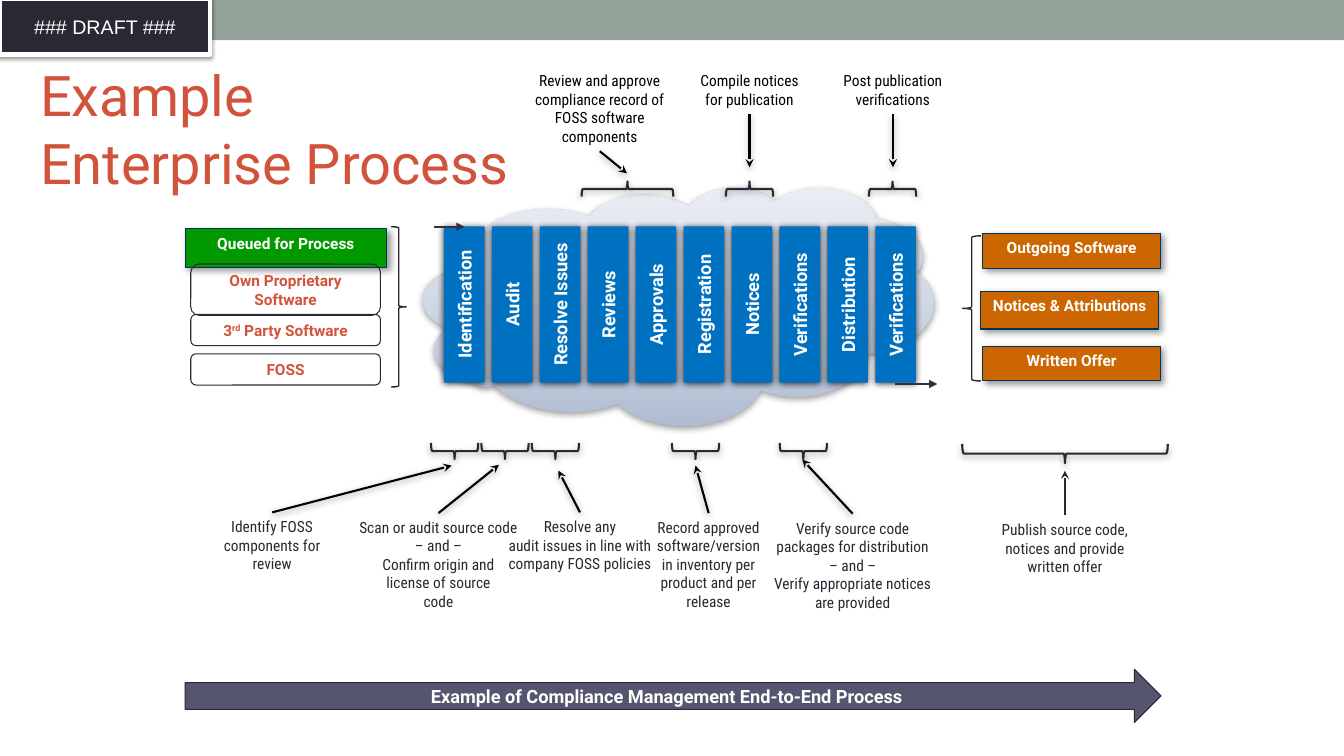
from copy import deepcopy
from dataclasses import dataclass

from lxml.etree import SubElement
from pptx import Presentation
from pptx.dml.color import RGBColor
from pptx.enum.shapes import MSO_CONNECTOR, MSO_SHAPE
from pptx.enum.text import MSO_ANCHOR, PP_ALIGN
from pptx.oxml.ns import qn
from pptx.util import Pt


@dataclass(frozen=True)
class Theme:
    band: str = "93A299"
    ink: str = "292934"
    black: str = "000000"
    white: str = "FFFFFF"
    accent: str = "D2533C"
    queue: str = "009900"
    output: str = "CC6600"
    card_edge: str = "003359"
    step: str = "0070C0"
    flow: str = "31313F"
    banner: str = "55556F"
    cloud: tuple = ((0, "B0BCD2"), (0.35, "C8D0DF"), (1, "EAEDF3"))
    body_font: str = "Roboto"
    note_font: str = "Roboto Condensed"
    tag_font: str = "Arial"
    title_size: int = 40
    tag_size: int = 14
    step_size: int = 13
    label_size: int = 11


THEME = Theme()
# Shadows: opacity in percent, blur, distance, direction in degrees
SOFT_SHADOW = (38, 5, 1.6, 90)
TAG_SHADOW = (38, 3.1, 1.6, 90)
CARD_SHADOW = (40, 5, 3, 45)
STEP_SHADOW = (75, 5, 1, 90)

STEPS = ["Identification", "Audit", "Resolve Issues", "Reviews", "Approvals",
         "Registration", "Notices", "Verifications", "Distribution", "Verifications"]

# Notes: paragraphs, centre x, top, width, height, arrow tip
UPPER_NOTES = [
    (["Review and approve", "compliance record of FOSS software components"],
     428.4, 47.5, 124, 60.5, (447.8, 123.8)),
    (["Compile notices", "for publication"], 535.4, 47.5, 124, 34, (535.4, 119.5)),
    (["Post publication", "verifications"], 637.8, 47.5, 124, 34, (637.8, 119.5)),
]
LOWER_NOTES = [
    (["Identify FOSS components for review"], 194.4, 366, 87, 47.5, (322.6, 332.6)),
    (["Scan or audit source code", "– and –", "Confirm origin and",
      "license of source", "code"], 313.2, 366.5, 131, 74, (356.4, 332)),
    (["Resolve any", "audit issues in line with", "company FOSS policies"],
     414.3, 366, 118, 47.5, (398.9, 336.2)),
    (["Record approved", "software/version", "in inventory per",
      "product and per", "release"], 506.2, 366.5, 91, 87, (496.8, 332.6)),
    (["Verify source code packages for distribution", "– and –",
      "Verify appropriate notices are provided"], 609.1, 367, 128, 87, (573.1, 328.3)),
]
PUBLISH_NOTE = (["Publish source code,", "notices and provide written offer"],
                760.7, 368, 127, 47.5, (760.7, 336.2))


def color(value):
    return RGBColor.from_string(value)


def set_shadow(shape, shadow=None):
    effects = SubElement(shape.element.spPr, qn("a:effectLst"))
    if shadow:
        opacity, blur, distance, direction = shadow
        outer = SubElement(effects, qn("a:outerShdw"), blurRad=str(Pt(blur)),
                           dist=str(Pt(distance)), dir=str(direction * 60000),
                           algn="ctr", rotWithShape="0")
        tone = SubElement(outer, qn("a:srgbClr"), val=THEME.black)
        SubElement(tone, qn("a:alpha"), val=str(opacity * 1000))


def write(shape, paragraphs, size, tone, font=THEME.body_font, bold=False, side=6.5,
          anchor=MSO_ANCHOR.MIDDLE, align=PP_ALIGN.CENTER, spacing=None):
    """Fill a shape with text; ^marks^ enclose a superscript."""
    frame = shape.text_frame
    frame.word_wrap = True
    frame.vertical_anchor = anchor
    frame.margin_left = frame.margin_right = Pt(side)
    frame.margin_top = frame.margin_bottom = Pt(3.6)
    for index, text in enumerate(paragraphs):
        para = frame.add_paragraph() if index else frame.paragraphs[0]
        para.alignment = align
        para.line_spacing = spacing
        para.font.name, para.font.size, para.font.bold = font, Pt(size), bold
        para.font.color.rgb = color(tone)
        for part_index, part in enumerate(text.split("^")):
            span = para.add_run()
            span.text = part
            if part_index % 2:
                span.font._element.set("baseline", "30000")


def add_shape(page, kind, left, top, width, height, fill=None, edge=None, weight=0.75,
              shadow=None):
    shape = page.shapes.add_shape(kind, Pt(left), Pt(top), Pt(width), Pt(height))
    if fill:
        shape.fill.solid()
        shape.fill.fore_color.rgb = color(fill)
    else:
        shape.fill.background()
    if edge:
        shape.line.color.rgb = color(edge)
        shape.line.width = Pt(weight)
    else:
        shape.line.fill.background()
    set_shadow(shape, shadow)
    return shape


def add_card(page, text, left, top, width, height, fill):
    card = add_shape(page, MSO_SHAPE.RECTANGLE, left, top, width, height, fill,
                     THEME.card_edge, shadow=CARD_SHADOW)
    write(card, [text], THEME.label_size, THEME.white, bold=True, anchor=MSO_ANCHOR.TOP)


def add_source(page, text, top, height):
    source = add_shape(page, MSO_SHAPE.ROUNDED_RECTANGLE, 136.3, top, 135.5, height,
                       edge=THEME.ink)
    write(source, [text], THEME.label_size, THEME.accent, bold=True)


def add_step(page, text, center_x):
    length, depth, center_y = 111.6, 29, 217.5
    step = add_shape(page, MSO_SHAPE.RECTANGLE, center_x - length / 2, center_y - depth / 2,
                     length, depth, THEME.step, shadow=STEP_SHADOW)
    step.rotation = 270
    write(step, [text], THEME.step_size, THEME.white, bold=True)


def add_cloud(page):
    cloud = add_shape(page, MSO_SHAPE.CLOUD_CALLOUT, 302.4, 133.9, 364.3, 169.9,
                      THEME.white, shadow=SOFT_SHADOW)
    cloud.adjustments[0], cloud.adjustments[1] = -0.28, 0.19
    cloud.fill.gradient()
    cloud.fill.gradient_angle = 90
    stop_list = cloud.element.spPr.find(".//" + qn("a:gsLst"))
    stop_list.insert(1, deepcopy(stop_list[0]))
    for stop, (position, tone) in zip(cloud.fill.gradient_stops, THEME.cloud):
        stop.position = position
        stop.color.rgb = color(tone)


def add_brace(page, center_x, center_y, depth, length, rotation=0,
              kind=MSO_SHAPE.RIGHT_BRACE, weight=1.5, shadow=SOFT_SHADOW):
    brace = add_shape(page, kind, center_x - depth / 2, center_y - length / 2,
                      depth, length, edge=THEME.ink, weight=weight, shadow=shadow)
    brace.rotation = rotation


def add_arrow(page, start, end, tone, head, shadow=None):
    arrow = page.shapes.add_connector(MSO_CONNECTOR.STRAIGHT, *map(Pt, start + end))
    arrow.line.color.rgb = color(tone)
    arrow.line.width = Pt(1.5)
    SubElement(arrow.line._get_or_add_ln(), qn("a:tailEnd"), type=head)
    set_shadow(arrow, shadow)
    return arrow


def add_note(page, note, side, text_tone, arrow_tone, shadow=SOFT_SHADOW):
    """A note with an arrow leaving its top (side 0) or bottom (side 2)."""
    paragraphs, center_x, top, width, height, tip = note
    box = page.shapes.add_textbox(Pt(center_x - width / 2), Pt(top), Pt(width), Pt(height))
    write(box, paragraphs, THEME.label_size, text_tone, THEME.note_font, side=7.2,
          anchor=MSO_ANCHOR.TOP)
    start = (center_x, top + height if side == 2 else top)
    add_arrow(page, start, tip, arrow_tone, "stealth", shadow).begin_connect(box, side)


def main():
    deck = Presentation()
    deck.slide_width, deck.slide_height = Pt(960), Pt(540)
    page = deck.slides.add_slide(deck.slide_layouts[6])

    # Header band, draft tag and title
    add_shape(page, MSO_SHAPE.RECTANGLE, 0, 0, 960, 28.8, THEME.band)
    tag = add_shape(page, MSO_SHAPE.RECTANGLE, 0, -0.5, 150, 39.5, THEME.ink, THEME.white,
                    3, TAG_SHADOW)
    write(tag, ["### DRAFT ###"], THEME.tag_size, THEME.white, THEME.tag_font)
    title = page.shapes.add_textbox(Pt(21.6), Pt(40), Pt(352), Pt(121.5))
    write(title, ["Example Enterprise Process"], THEME.title_size, THEME.accent, side=7.2,
          anchor=MSO_ANCHOR.TOP, align=PP_ALIGN.LEFT)

    # Process steps on the cloud
    add_card(page, "Queued for Process", 132.3, 163.4, 144, 27.4, THEME.queue)
    add_cloud(page)
    for index, name in enumerate(STEPS):
        add_step(page, name, 331.6 + 34.24 * index)

    # Inputs and outputs
    for name, top, height in [("Own Proprietary Software", 188.6, 36.7),
                              ("3^rd^ Party Software", 224.6, 22.3), ("FOSS", 252.7, 22.3)]:
        add_source(page, name, top, height)
    for name, left, top, height in [("Outgoing Software", 702, 166.5, 25.2),
                                    ("Notices & Attributions", 700.6, 208, 27),
                                    ("Written Offer", 702, 247.5, 24.5)]:
        add_card(page, name, left, top, 127, height, THEME.output)
    add_arrow(page, (310.3, 162), (331.9, 162), THEME.flow, "triangle")
    add_arrow(page, (639.4, 274.3), (669.6, 274.3), THEME.flow, "triangle")
    add_brace(page, 284.8, 219.2, 10.8, 114.5, weight=1, shadow=None)
    add_brace(page, 694.1, 220.3, 13, 103.7, kind=MSO_SHAPE.LEFT_BRACE, weight=1, shadow=None)

    # Braces above and below the steps
    for center_x, length in [(448.2, 65.5), (535.4, 33.8), (637.6, 33.8)]:
        add_brace(page, center_x, 135, 10.8, length, rotation=270)
    for center_x in (324.7, 360.7, 396.7, 496.8, 573.8):
        add_brace(page, center_x, 322.2, 11.5, 33.8, rotation=90)
    add_brace(page, 760.7, 324, 13.7, 146.9, rotation=90)

    # Notes with arrows
    for note in UPPER_NOTES:
        add_note(page, note, 2, THEME.black, THEME.black)
    for note in LOWER_NOTES:
        add_note(page, note, 0, THEME.ink, THEME.black)
    add_note(page, PUBLISH_NOTE, 0, THEME.ink, THEME.ink, shadow=None)

    # End-to-end banner
    banner = add_shape(page, MSO_SHAPE.RIGHT_ARROW, 132.3, 478, 697, 38.2, THEME.banner,
                       THEME.ink)
    write(banner, ["Example of Compliance Management End-to-End Process"], THEME.step_size,
          THEME.white, bold=True, anchor=MSO_ANCHOR.TOP, spacing=0.93)
    deck.save("out.pptx")


if __name__ == "__main__":
    main()
